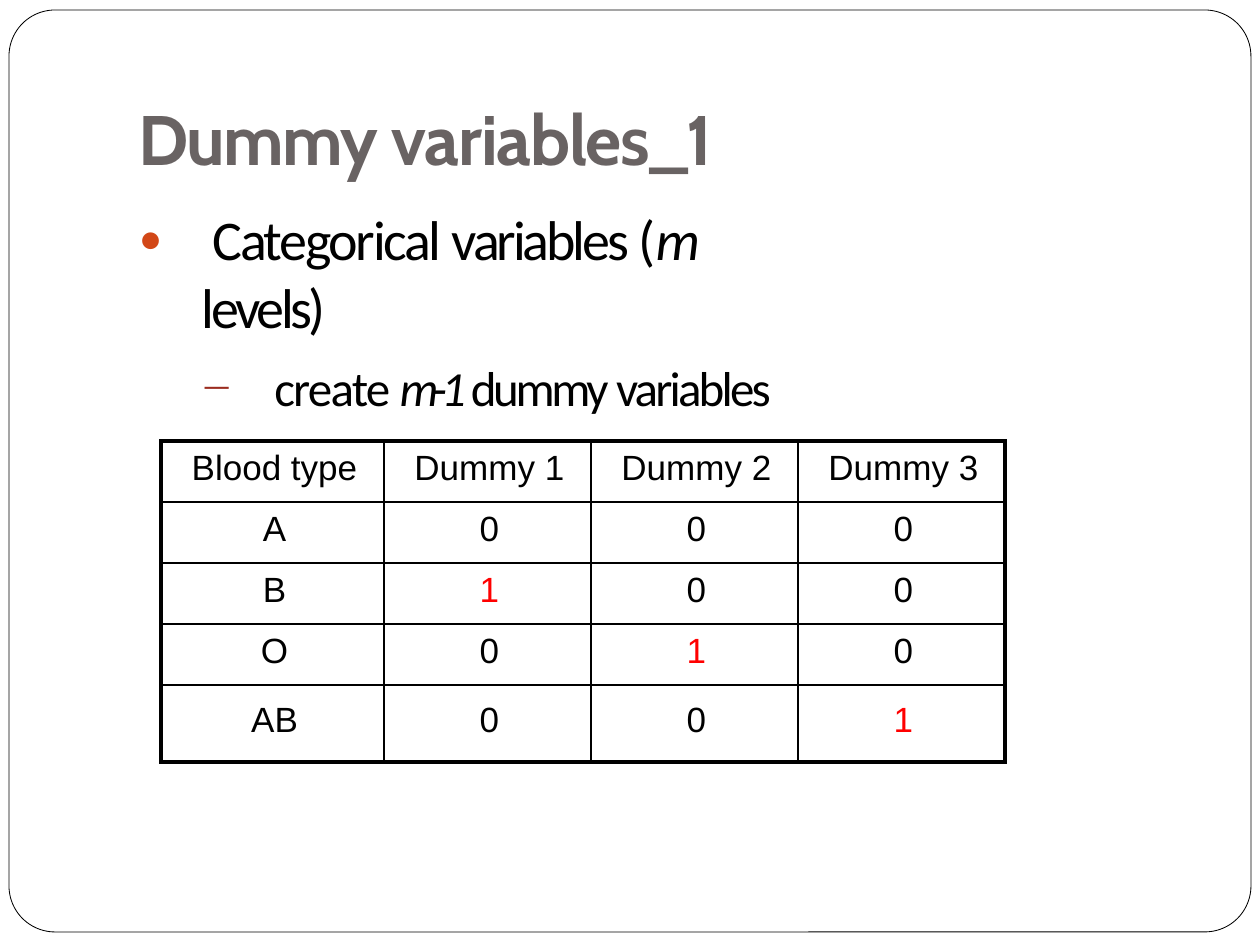
from dataclasses import dataclass

from lxml.etree import SubElement
from pptx import Presentation
from pptx.dml.color import RGBColor
from pptx.enum.shapes import MSO_SHAPE as Shape
from pptx.enum.text import PP_ALIGN as Align
from pptx.oxml.ns import qn
from pptx.util import Pt

SCALE = 914400 / 126


@dataclass(frozen=True)
class Theme:
    """Colours, fonts and type sizes of the deck."""
    ink: str = "000000"
    heading: str = "696363"
    bullet: str = "D24717"
    dash: str = "9B2C1F"
    accent: str = "FF0000"
    title_font: str = "Cabin"
    body_font: str = "Calibri"
    table_font: str = "Arial"
    title_size: float = 40
    body_size: float = 32
    bullet_size: float = 27
    sub_size: float = 28
    dash_size: float = 23.5
    cell_size: float = 20
    frame_line: float = 0.48
    outer_line: float = 2.25
    inner_line: float = 1


THEME = Theme()


def px(length):
    """Turn picture pixels into EMU."""
    return round(length * SCALE)


def place(box):
    """Turn a pixel box into EMU."""
    return [px(side) for side in box]


def set_insets(target, top):
    """Keep only a top inset."""
    target.margin_left = target.margin_right = target.margin_bottom = 0
    target.margin_top = px(top)


def set_font(font, family, size, colour, bold=False):
    """Set family, size, colour and weight."""
    font.name, font.size, font.bold = family, Pt(size), bold
    font.color.rgb = RGBColor.from_string(colour)


def add_span(para, text, spacing=0, italic=False):
    """Add a run with letter spacing in points."""
    span = para.add_run()
    span.text = text
    if italic:
        span.font.italic = True
    if spacing:
        span._r.get_or_add_rPr().set("spc", str(round(spacing * 100)))
    return span


def set_indent(para, left, hanging=0):
    """Set the left margin and hanging indent in pixels."""
    props = para._p.get_or_add_pPr()
    props.set("marL", str(px(left)))
    props.set("indent", str(-px(hanging)))
    return props


def add_text_box(page, box, top):
    """Add a wrapping text box and return its frame."""
    frame = page.shapes.add_textbox(*place(box)).text_frame
    frame.word_wrap = True
    set_insets(frame, top)
    return frame


def add_frame(page, box):
    """Draw the rounded page border."""
    frame = page.shapes.add_shape(Shape.ROUNDED_RECTANGLE, *place(box))
    frame.adjustments[0] = 0.05
    frame.shadow.inherit = False
    frame.fill.background()
    frame.line.color.rgb = RGBColor.from_string(THEME.ink)
    frame.line.width = Pt(THEME.frame_line)


def add_title(page, box):
    """Write the heading."""
    para = add_text_box(page, box, 1).paragraphs[0]
    set_indent(para, 1)
    para.space_before = Pt(0.9)
    set_font(para.font, THEME.title_font, THEME.title_size, THEME.heading, True)
    add_span(para, "Dummy ", -0.9)
    add_span(para, "variables_1", -0.7)


def add_bullet(para, mark, percent, colour, left, size, mark_size, mark_spacing, spans):
    """Fill one bulleted paragraph."""
    props = set_indent(para, left, 63)
    tint = SubElement(props, qn("a:buClr"))
    SubElement(tint, qn("a:srgbClr")).set("val", colour)
    SubElement(props, qn("a:buSzPct")).set("val", str(percent * 1000))
    SubElement(props, qn("a:buFont")).set("typeface", THEME.body_font)
    SubElement(props, qn("a:buChar")).set("char", mark)
    para.space_before = Pt(10.2)
    set_font(para.font, THEME.body_font, size, THEME.ink)
    lead = add_span(para, " ", mark_spacing)
    set_font(lead.font, THEME.body_font, mark_size, colour)
    for span in spans:
        add_span(para, *span)


def add_body(page, box):
    """Write the two bullet levels."""
    frame = add_text_box(page, box, 18)
    add_bullet(frame.paragraphs[0], "•", 100, THEME.bullet, 64,
               THEME.body_size, THEME.bullet_size, -6.9, [
                   ("Categorical ", -1.4), ("variables ", -1.8), ("(", -4.3),
                   ("m ", -4.3, True), ("levels)", -2)])
    detail = frame.add_paragraph()
    detail.level = 1
    add_bullet(detail, "—", 80, THEME.dash, 127,
               THEME.sub_size, THEME.dash_size, -6, [
                   ("create ", -1), ("m-1 ", -3.5, True),
                   ("dummy ", -1.9), ("variables", -1.6)])


def set_borders(cell, outer_sides):
    """Draw heavy lines on outer sides and thin ones elsewhere."""
    props = cell._tc.get_or_add_tcPr()
    for side in "LRTB":
        width = THEME.outer_line if side in outer_sides else THEME.inner_line
        line = SubElement(props, qn(f"a:ln{side}"))
        line.set("w", str(Pt(width)))
        fill = SubElement(line, qn("a:solidFill"))
        SubElement(fill, qn("a:srgbClr")).set("val", THEME.ink)


def add_dummy_table(page, box):
    """Build the table of blood types and dummy codes."""
    types = ["A", "B", "O", "AB"]
    rows = [["Blood type"] + [f"Dummy {index}" for index in range(1, len(types))]]
    for level, name in enumerate(types):
        rows.append([name] + [str(int(level == index)) for index in range(1, len(types))])
    last_row, last_column = len(rows) - 1, len(types) - 1
    table = page.shapes.add_table(len(rows), len(types), *place(box)).table
    table.first_row = table.horz_banding = False
    for index, column in enumerate(table.columns):
        column.width = px(207 if index else 223)
    for r, values in enumerate(rows):
        is_last = r == last_row
        table.rows[r].height = px(77 if is_last else 61)
        for c, value in enumerate(values):
            cell = table.cell(r, c)
            sides = {"L": c == 0, "R": c == last_column, "T": r == 0, "B": is_last}
            set_borders(cell, [side for side, outer in sides.items() if outer])
            cell.fill.background()
            set_insets(cell, 16 if is_last else 8)
            para = cell.text_frame.paragraphs[0]
            para.alignment = Align.CENTER
            para.space_before = Pt(9.6 if is_last else 4.8)
            set_indent(para, 4)
            colour = THEME.accent if value == "1" else THEME.ink
            set_font(para.font, THEME.table_font, THEME.cell_size, colour)
            add_span(para, value)


def build_dummy_page(deck):
    """Compose the slide on dummy variables."""
    page = deck.slides.add_slide(deck.slide_layouts[6])
    add_frame(page, (9, 10, 1242, 922))
    add_title(page, (137, 95, 735, 87))
    add_body(page, (138, 187, 665, 163))
    add_dummy_table(page, (161, 441, 844, 321))


deck = Presentation()
deck.slide_width, deck.slide_height = px(1260), px(945)
build_dummy_page(deck)
deck.save("out.pptx")
